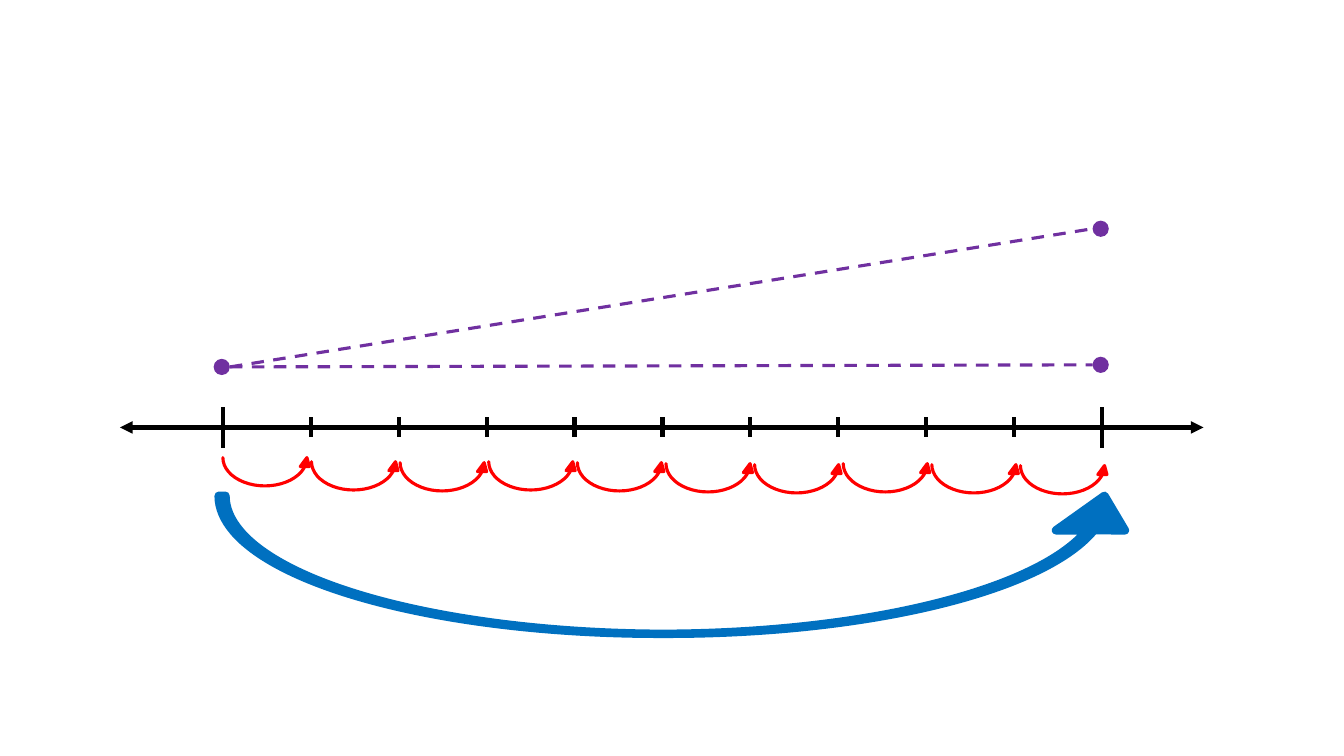
from pptx import Presentation
from pptx.dml.color import RGBColor
from pptx.enum.dml import MSO_LINE
from pptx.enum.shapes import MSO_CONNECTOR, MSO_SHAPE
from pptx.oxml.ns import qn
from pptx.util import Pt
from lxml.etree import SubElement

COLORS = {"axis": "000000", "hop": "FF0000", "jump": "0070C0", "ray": "7030A0"}

AXIS_Y = 305.3
AXIS_LEFT, AXIS_RIGHT = 85.7, 859.7
FIRST_TICK = 159.2
TICK_STEP = 62.8
INTERVALS = 10
LONG_TICK, SHORT_TICK = 14.4, 7.2

HOP_STEP = 63.3
HOP_TOPS = [326.9, 329.8, 330.5, 329.8, 330.5, 331.2, 331.9, 331.2, 331.9, 332.6]
DOT_RADIUS = 5.8


def color(name):
    return RGBColor.from_string(COLORS[name])


def add_line(slide, start, end, color_name, width, dashed=False, arrows=False):
    line = slide.shapes.add_connector(
        MSO_CONNECTOR.STRAIGHT, Pt(start[0]), Pt(start[1]), Pt(end[0]), Pt(end[1]))
    line.line.color.rgb = color(color_name)
    line.line.width = Pt(width)
    if dashed:
        line.line.dash_style = MSO_LINE.DASH
    properties = line._element.spPr
    if arrows:
        outline = properties.find(qn("a:ln"))
        for tag in ("a:headEnd", "a:tailEnd"):
            SubElement(outline, qn(tag), type="triangle")
    SubElement(properties, qn("a:effectLst"))


def add_filled_shape(slide, kind, left, top, width, height, color_name):
    shape = slide.shapes.add_shape(kind, Pt(left), Pt(top), Pt(width), Pt(height))
    shape.shadow.inherit = False
    shape.fill.solid()
    shape.fill.fore_color.rgb = color(color_name)
    shape.line.fill.background()
    return shape


def add_swoop(slide, left, top, width, height, color_name, line_width, adjustments):
    """Add a curved arrow that dips below its two ends."""
    swoop = add_filled_shape(slide, MSO_SHAPE.CURVED_DOWN_ARROW,
                             left, top, width, height, color_name)
    swoop._element.spPr.find(qn("a:xfrm")).set("flipV", "1")
    swoop.line.color.rgb = color(color_name)
    swoop.line.width = Pt(line_width)
    for index, value in enumerate(adjustments):
        swoop.adjustments[index] = value


def add_dot(slide, x, y):
    add_filled_shape(slide, MSO_SHAPE.OVAL, x - DOT_RADIUS, y - DOT_RADIUS,
                     2 * DOT_RADIUS, 2 * DOT_RADIUS, "ray")


def add_number_line(slide):
    add_line(slide, (AXIS_LEFT, AXIS_Y), (AXIS_RIGHT, AXIS_Y), "axis", 3, arrows=True)
    for index in range(INTERVALS + 1):
        x = FIRST_TICK + index * TICK_STEP
        half = LONG_TICK if index in (0, INTERVALS) else SHORT_TICK
        add_line(slide, (x, AXIS_Y - half), (x, AXIS_Y + half), "axis", 3)


def add_rays(slide, origin, targets):
    add_dot(slide, *origin)
    for x, y in targets:
        add_dot(slide, x, y)
        add_line(slide, (origin[0] + DOT_RADIUS, origin[1]), (x - DOT_RADIUS, y),
                 "ray", 2.25, dashed=True)


def main():
    presentation = Presentation()
    presentation.slide_width = Pt(960)
    presentation.slide_height = Pt(540)
    slide = presentation.slides.add_slide(presentation.slide_layouts[6])

    add_number_line(slide)
    add_swoop(slide, 156.2, 354.2, 657.4, 98.6, "jump", 6, (0.05, 0.5, 0.25))
    for index, top in enumerate(HOP_TOPS):
        add_swoop(slide, FIRST_TICK + index * HOP_STEP, top, HOP_STEP, 20.2,
                  "hop", 2.25, (0, 0.32, 0.315))
    add_rays(slide, (158.4, 262.1), [(786.2, 260.6), (786.2, 163.4)])

    presentation.save("out.pptx")


if __name__ == "__main__":
    main()
